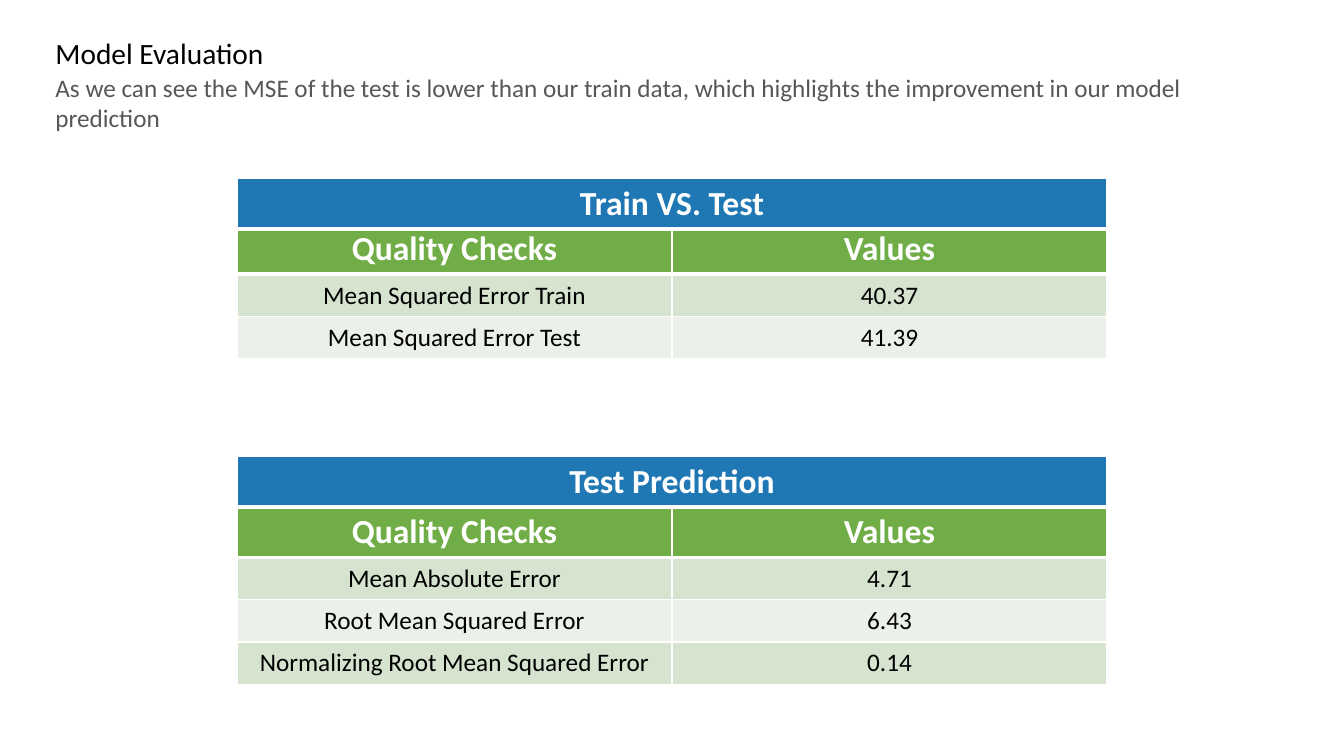
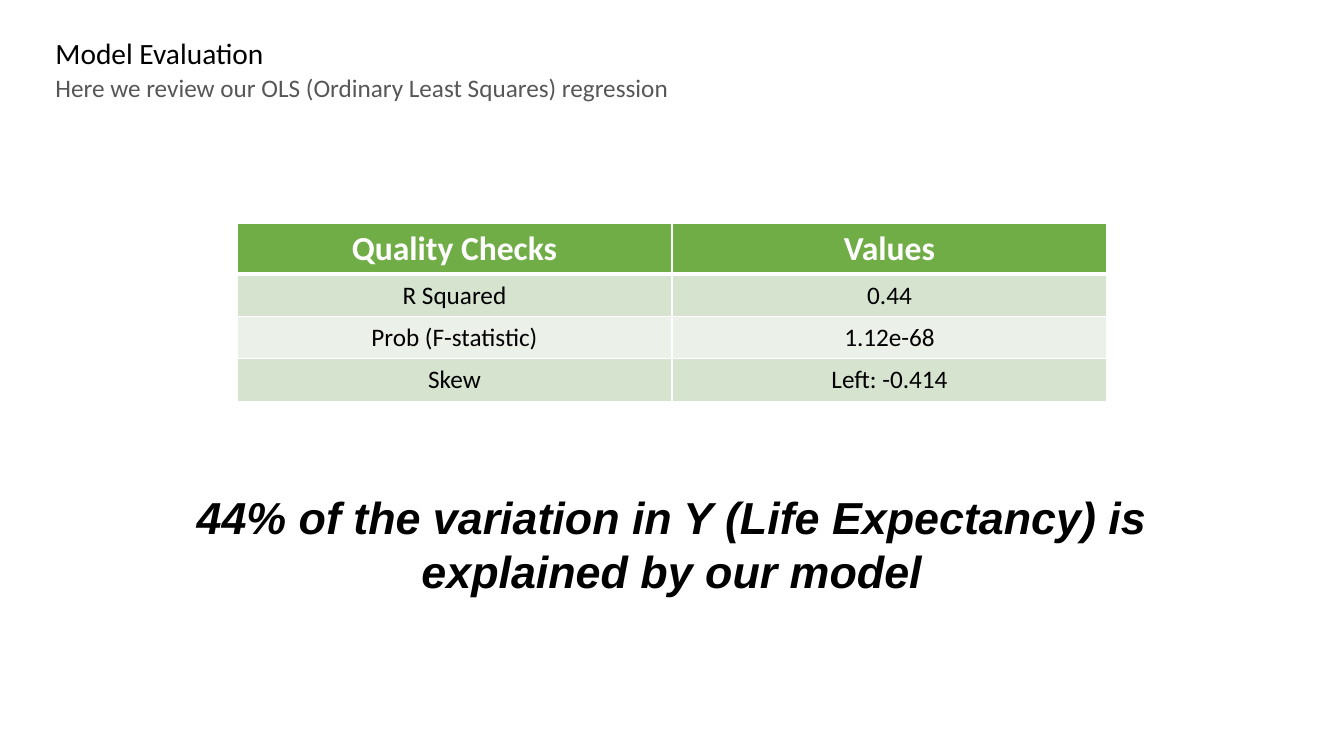
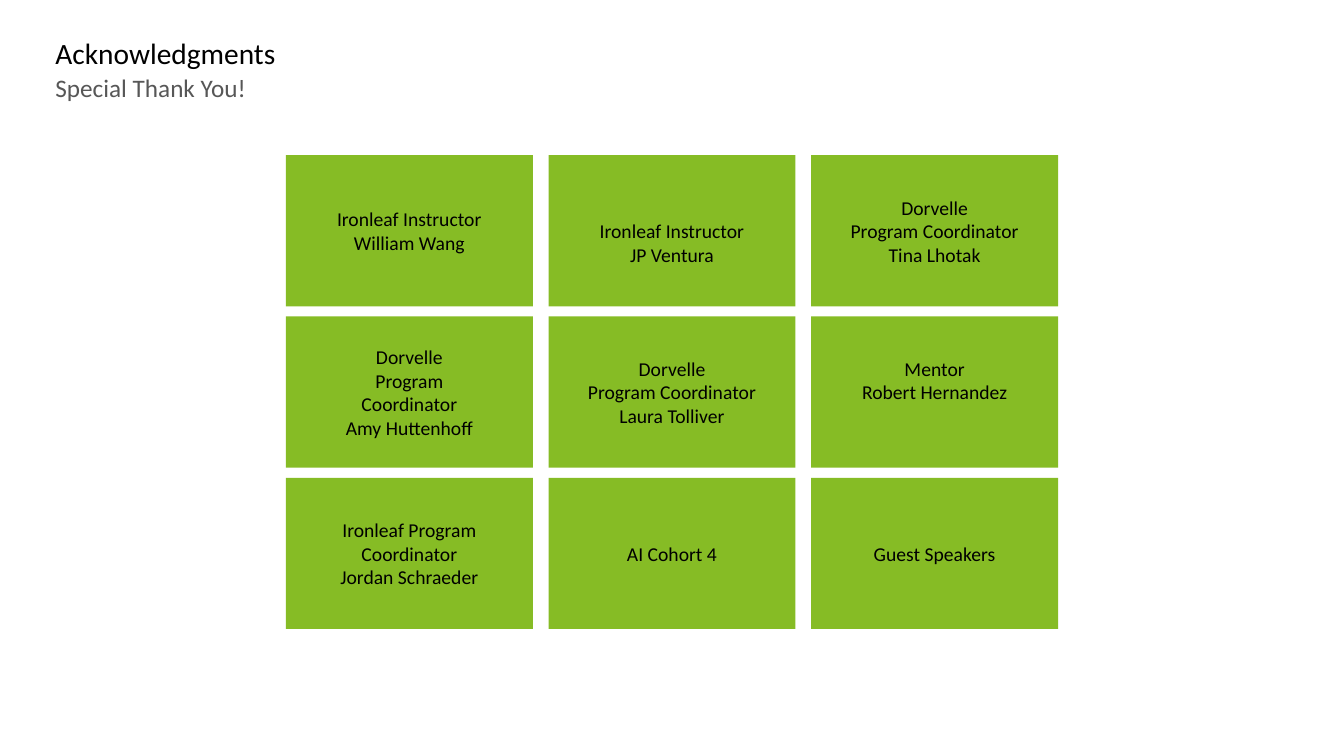
from pptx import Presentation
from pptx import util as u
from pptx.dml.color import RGBColor
from pptx.enum import shapes, text
from pptx.oxml import parse_xml
from pptx.oxml.ns import nsdecls

WIDTH, HEIGHT = 13.33, 7.5
BLACK, WHITE, GREY = "000000", "FFFFFF", "575757"
BLUE, GREEN, LIME = "1F77B4", "70AD47", "86BC25"
BANDS = ["D5E3CF", "EBF1E9"]
CENTER, LEFT = text.PP_ALIGN.CENTER, text.PP_ALIGN.LEFT
MIDDLE = text.MSO_ANCHOR.MIDDLE


def color(code):
    return RGBColor.from_string(code)


def write(frame, lines, size, code, align=CENTER, face="Calibri", bold=False, italic=False):
    frame.word_wrap = True
    for number, line in enumerate(lines):
        para = frame.add_paragraph() if number else frame.paragraphs[0]
        para.alignment = align
        span = para.add_run()
        span.text = line
        span.font.name, span.font.size = face, u.Pt(size)
        span.font.bold, span.font.italic = bold, italic
        span.font.color.rgb = color(code)


deck = Presentation()
deck.slide_width, deck.slide_height = u.Inches(WIDTH), u.Inches(HEIGHT)

# Headings: a title and a subtitle on every page
headings = [
    ("Model Evaluation", "As we can see the MSE of the test is lower than our train data, "
                         "which highlights the improvement in our model prediction"),
    ("Model Evaluation", "Here we review our OLS (Ordinary Least Squares) regression"),
    ("Acknowledgments", "Special Thank You!"),
]
heading_left, heading_top, heading_height = 0.55, 0.35, 0.37
pages = []
for title, subtitle in headings:
    page = deck.slides.add_slide(deck.slide_layouts[6])
    pages.append(page)
    for row, (line, size, code) in enumerate([(title, 21, BLACK), (subtitle, 18, GREY)]):
        box = page.shapes.add_textbox(
            u.Inches(heading_left), u.Inches(heading_top + row * heading_height),
            u.Inches(WIDTH - 2 * heading_left), u.Inches(heading_height))
        frame = box.text_frame
        frame.margin_left = frame.margin_right = frame.margin_top = frame.margin_bottom = 0
        write(frame, [line], size, code, LEFT)
evaluation, regression, thanks = pages

# Tables: page, top, header colour, rows; a caption is a table of one cell
columns = ("Quality Checks", "Values")
tables = [
    (evaluation, 2.22, GREEN, [
        columns,
        ("Mean Squared Error Train", "40.37"),
        ("Mean Squared Error Test", "41.39")]),
    (evaluation, 5.03, GREEN, [
        columns,
        ("Mean Absolute Error", "4.71"),
        ("Root Mean Squared Error", "6.43"),
        ("Normalizing Root Mean Squared Error", "0.14")]),
    (evaluation, 1.77, BLUE, [("Train VS. Test",)]),
    (evaluation, 4.53, BLUE, [("Test Prediction",)]),
    (regression, 2.22, GREEN, [
        columns,
        ("R Squared", "0.44"),
        ("Prob (F-statistic)", "1.12e-68"),
        ("Skew", "Left: -0.414")]),
]
table_width, header_height, row_height = 8.63, 0.5, 0.42
for page, top, header, rows in tables:
    grid = page.shapes.add_table(
        len(rows), len(rows[0]), u.Inches((WIDTH - table_width) / 2), u.Inches(top),
        u.Inches(table_width), u.Inches(header_height + row_height * (len(rows) - 1))).table
    for row, values in enumerate(rows):
        grid.rows[row].height = u.Inches(row_height if row else header_height)
        for column, value in enumerate(values):
            cell = grid.cell(row, column)
            cell.vertical_anchor = MIDDLE
            # White rules, thicker below the header
            rules = {"L": 1, "R": 1, "T": 3 if row == 1 else 1, "B": 1 if row else 3}
            for side, points in rules.items():
                cell._tc.get_or_add_tcPr().append(parse_xml(
                    f'<a:ln{side} {nsdecls("a")} w="{u.Pt(points)}"><a:solidFill>'
                    f'<a:srgbClr val="{WHITE}"/></a:solidFill></a:ln{side}>'))
            cell.fill.solid()
            cell.fill.fore_color.rgb = color(BANDS[(row - 1) % 2] if row else header)
            write(cell.text_frame, [value], 18 if row else 24,
                  BLACK if row else WHITE, bold=row == 0)

# Key finding under the regression table
finding_width = 10.95
finding = regression.shapes.add_textbox(
    u.Inches((WIDTH - finding_width) / 2), u.Inches(4.81),
    u.Inches(finding_width), u.Inches(1.18))
write(finding.text_frame,
      ["44% of the variation in Y (Life Expectancy) is explained by our model"],
      32, BLACK, face="Arial", bold=True, italic=True)

# Acknowledgment tiles: lines, extra space above, extra space below
one_line = 0.24
tiles = [
    (["Ironleaf Instructor", "William Wang"], 0, 0),
    (["Ironleaf Instructor", "JP Ventura"], one_line, 0),
    (["Dorvelle", "Program Coordinator", "Tina Lhotak"], 0, 0),
    (["Dorvelle", "Program", "Coordinator", "Amy Huttenhoff"], 0, 0),
    (["Dorvelle", "Program Coordinator", "Laura Tolliver"], 0, 0),
    (["Mentor", "Robert Hernandez"], 0, one_line),
    (["Ironleaf Program Coordinator", "Jordan Schraeder"], 0, 0),
    (["AI Cohort 4"], 0, 0),
    (["Guest Speakers"], 0, 0),
]
tile_width, tile_height, tile_top, inset = 2.45, 1.5, 1.54, 0.1
step_x, step_y = 2.605, 1.6
tile_left = (WIDTH - 2 * step_x - tile_width) / 2
for number, (lines, above, below) in enumerate(tiles):
    row, column = divmod(number, 3)
    tile = thanks.shapes.add_shape(
        shapes.MSO_SHAPE.RECTANGLE,
        u.Inches(tile_left + column * step_x), u.Inches(tile_top + row * step_y),
        u.Inches(tile_width), u.Inches(tile_height))
    tile.shadow.inherit = False
    tile.fill.solid()
    tile.fill.fore_color.rgb = color(LIME)
    tile.line.fill.background()
    frame = tile.text_frame
    frame.vertical_anchor = MIDDLE
    frame.margin_left = frame.margin_right = u.Inches(inset)
    frame.margin_top = u.Inches(inset + above)
    frame.margin_bottom = u.Inches(inset + below)
    write(frame, lines, 14, BLACK)

deck.save("out.pptx")
